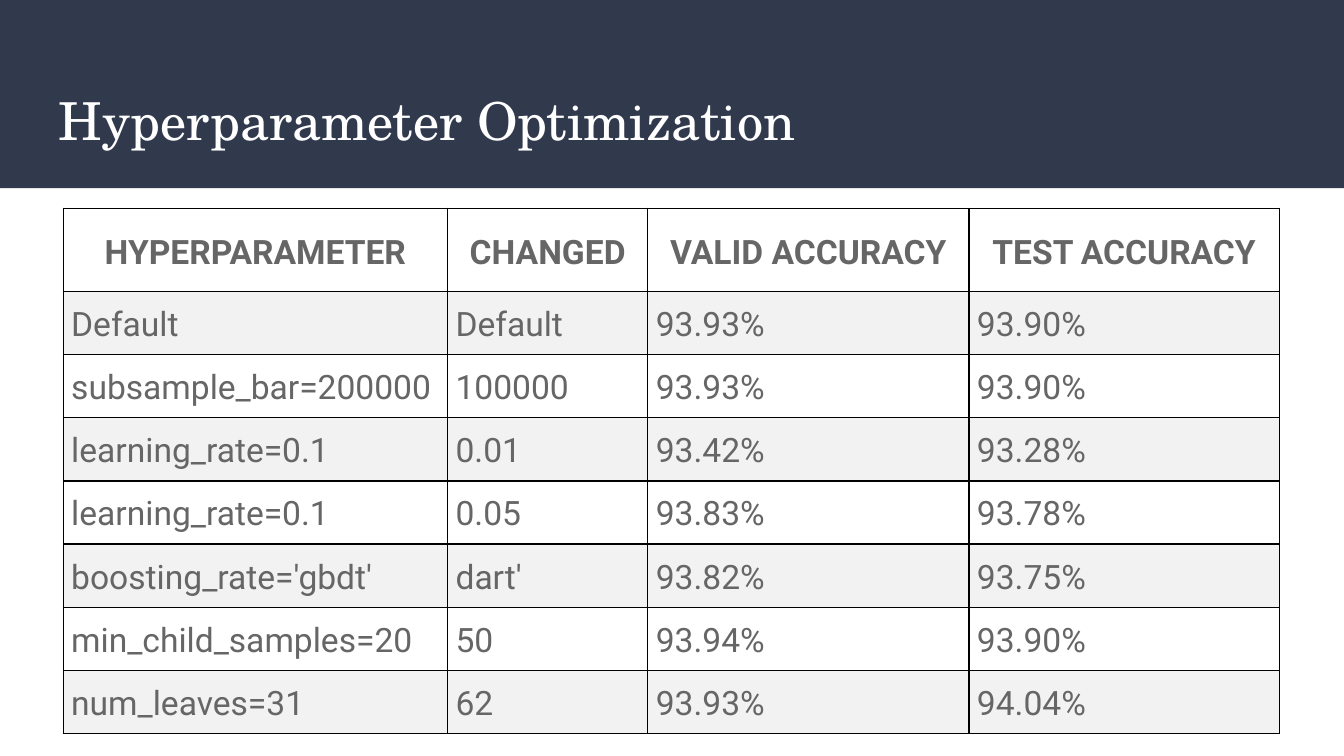
from dataclasses import dataclass
from typing import Any

from lxml.etree import SubElement
from pptx import Presentation
from pptx.dml.color import RGBColor
from pptx.enum.shapes import MSO_SHAPE
from pptx.enum.text import MSO_ANCHOR, PP_ALIGN
from pptx.oxml.ns import qn
from pptx.util import Inches, Pt

NAVY = RGBColor(0x31, 0x39, 0x4D)
WHITE = RGBColor(0xFF, 0xFF, 0xFF)
GREY = RGBColor(0x66, 0x66, 0x66)
PALE = RGBColor(0xF2, 0xF2, 0xF2)
BLACK = RGBColor(0, 0, 0)

WIDE = 10
HIGH = WIDE * 9 / 16
COLS = (2.86, 1.49, 2.39, 2.31)
HEAD_ROW, BODY_ROW = 0.62, 0.47
MARGINS = ("margin_left", "margin_top", "margin_right", "margin_bottom")
EDGES = ("a:lnL", "a:lnR", "a:lnT", "a:lnB")
ROWS = (
    ("HYPERPARAMETER", "CHANGED", "VALID ACCURACY", "TEST ACCURACY"),
    ("Default", "Default", "93.93%", "93.90%"),
    ("subsample_bar=200000", "100000", "93.93%", "93.90%"),
    ("learning_rate=0.1", "0.01", "93.42%", "93.28%"),
    ("learning_rate=0.1", "0.05", "93.83%", "93.78%"),
    ("boosting_rate='gbdt'", "dart'", "93.82%", "93.75%"),
    ("min_child_samples=20", "50", "93.94%", "93.90%"),
    ("num_leaves=31", "62", "93.93%", "94.04%"),
)


@dataclass(frozen=True)
class Style:
    """Look of one piece of text."""
    face: str
    size: int
    color: RGBColor
    bold: bool = False
    align: PP_ALIGN = PP_ALIGN.LEFT
    anchor: MSO_ANCHOR = MSO_ANCHOR.TOP
    inset: float = 0.06
    space: float = 1.15


TITLE = Style("TeX Gyre Schola", 28, WHITE, anchor=MSO_ANCHOR.MIDDLE, inset=0.1, space=1.0)
HEAD = Style("Roboto", 18, GREY, True, PP_ALIGN.CENTER, MSO_ANCHOR.MIDDLE)
BODY = Style("Roboto", 18, GREY)


def assign(item: Any, values: dict[str, Any]) -> None:
    """Set each named value on an object."""
    for name, value in values.items():
        setattr(item, name, value)


def write(frame: Any, holder: Any, text: str, style: Style) -> None:
    """Put styled text in a frame whose holder owns anchor and margins."""
    assign(holder, {"vertical_anchor": style.anchor,
                    **dict.fromkeys(MARGINS, Inches(style.inset))})
    para = frame.paragraphs[0]
    assign(para, {"alignment": style.align, "line_spacing": style.space})
    run = para.add_run()
    run.text = text
    assign(run.font, {"name": style.face, "size": Pt(style.size), "bold": style.bold})
    run.font.color.rgb = style.color


def border(cell: Any) -> None:
    """Draw a thin black line on all edges of a cell."""
    props = cell._tc.get_or_add_tcPr()
    for spot, edge in enumerate(EDGES):
        line = SubElement(props, qn(edge), w=str(Pt(0.75)))
        fill = SubElement(line, qn("a:solidFill"))
        SubElement(fill, qn("a:srgbClr"), val=str(BLACK))
        props.insert(spot, line)


def banner(slide: Any) -> None:
    """Draw the top band and its title."""
    band = slide.shapes.add_shape(MSO_SHAPE.RECTANGLE, 0, 0, Inches(WIDE), Inches(1.4))
    band.shadow.inherit = False
    band.fill.solid()
    band.fill.fore_color.rgb = NAVY
    band.line.fill.background()
    box = slide.shapes.add_textbox(Inches(0.34), Inches(0.55), Inches(9.32), Inches(0.68))
    box.text_frame.word_wrap = True
    write(box.text_frame, box.text_frame, "Hyperparameter Optimization", TITLE)


def results(slide: Any) -> None:
    """Draw the table of accuracies."""
    highs = (HEAD_ROW,) + (BODY_ROW,) * (len(ROWS) - 1)
    table = slide.shapes.add_table(len(ROWS), len(COLS), Inches(0.47), Inches(1.55),
                                   Inches(sum(COLS)), Inches(sum(highs))).table
    assign(table, {"first_row": False, "horz_banding": False})
    for col, wide in zip(table.columns, COLS):
        col.width = Inches(wide)
    for r, (row, high, texts) in enumerate(zip(table.rows, highs, ROWS)):
        row.height = Inches(high)
        for cell, text in zip(row.cells, texts):
            write(cell.text_frame, cell, text, BODY if r else HEAD)
            cell.fill.solid()
            cell.fill.fore_color.rgb = PALE if r % 2 else WHITE
            border(cell)


def main() -> None:
    """Build and save the slide."""
    deck = Presentation()
    assign(deck, {"slide_width": Inches(WIDE), "slide_height": Inches(HIGH)})
    slide = deck.slides.add_slide(deck.slide_layouts[6])
    banner(slide)
    results(slide)
    deck.save("out.pptx")


if __name__ == "__main__":
    main()
